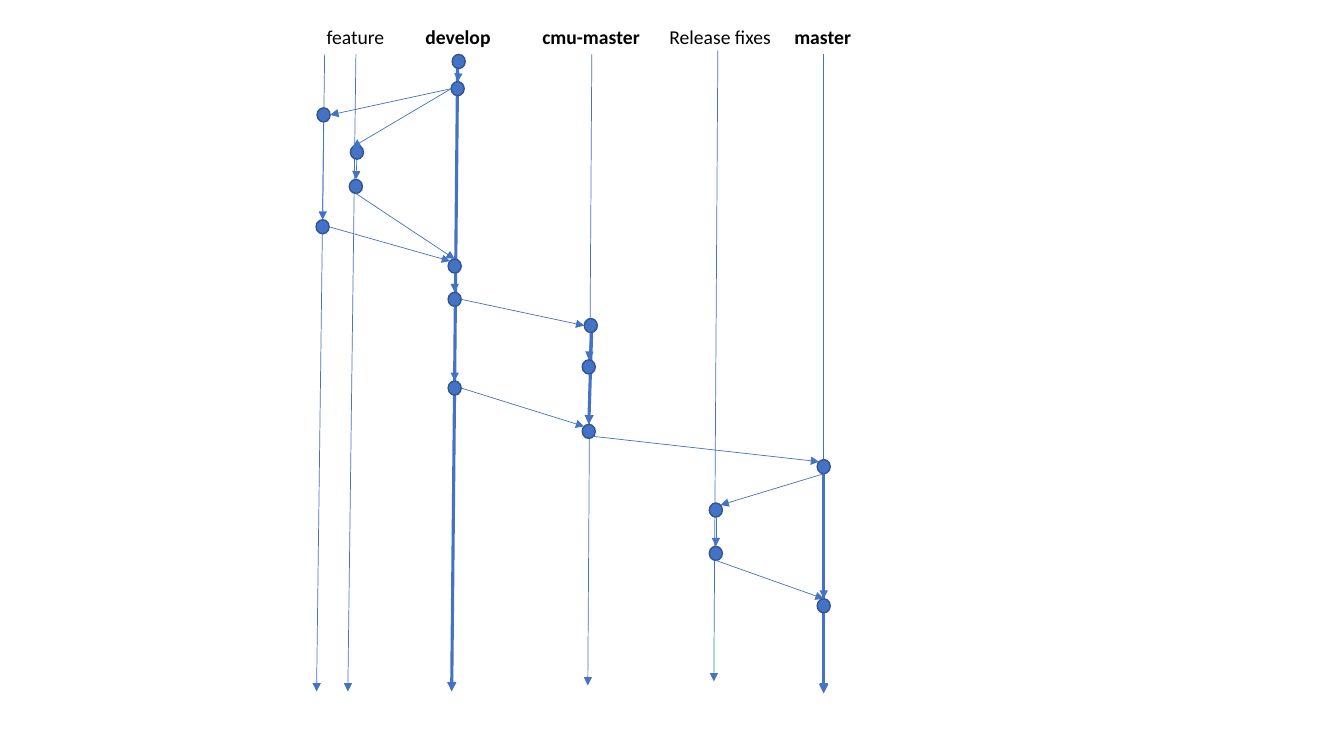
"""Builds a slide that shows a git branching flow from feature to master."""
from math import cos, radians, sin

from lxml.etree import SubElement
from pptx import Presentation
from pptx.dml.color import RGBColor
from pptx.enum.shapes import MSO_CONNECTOR, MSO_SHAPE
from pptx.enum.text import MSO_AUTO_SIZE
from pptx.oxml.ns import qn
from pptx.util import Inches, Pt

COLORS = {"blue": "4472C4", "edge": "325491", "text": "000000"}
DOT_W, DOT_H = 0.13, 0.14
THIN, THICK = 0.5, 2.25
ANGLES = {"right": 0, "bottom right": 45, "bottom": 90, "left": 180,
          "top left": 225, "top": 270, "top right": 315}

LABELS = [
    ("feature", 3.14, 0.78, False),
    ("develop", 4.12, 0.85, True),
    ("cmu-master", 5.28, 1.18, True),
    ("Release fixes", 6.54, 1.22, False),
    ("master", 7.78, 0.77, True),
]
LANES = [
    ((3.22, 0.54), (3.14, 6.86), THIN),
    ((3.53, 0.54), (3.45, 6.86), THIN),
    ((4.54, 0.54), (4.48, 6.86), THICK),
    ((5.87, 0.54), (5.83, 6.8), THIN),
    ((5.87, 3.24), (5.84, 4.21), THICK),
    ((7.12, 0.5), (7.08, 6.76), THIN),
    ((8.17, 0.54), (8.17, 6.86), THIN),
    ((8.17, 4.69), (8.17, 6.88), THICK),
]
COMMITS = {
    "feature a1": (3.21, 1.14), "feature a2": (3.2, 2.25),
    "feature b1": (3.54, 1.51), "feature b2": (3.53, 1.85),
    "develop 1": (4.55, 0.61), "develop 2": (4.54, 0.88),
    "develop 3": (4.51, 2.64), "develop 4": (4.51, 2.97),
    "develop 5": (4.51, 3.85),
    "cmu 1": (5.86, 3.23), "cmu 2": (5.84, 3.64), "cmu 3": (5.84, 4.28),
    "fix 1": (7.1, 5.06), "fix 2": (7.1, 5.49),
    "master 1": (8.17, 4.63), "master 2": (8.17, 6.01),
}
STEPS = [
    ("develop 1", "develop 2"), ("feature a1", "feature a2"),
    ("feature b1", "feature b2"), ("develop 3", "develop 4"),
    ("develop 4", "develop 5"), ("cmu 1", "cmu 2"),
    ("fix 1", "fix 2"), ("master 1", "master 2"),
]
MERGES = [
    ("develop 2", "left", "feature a1", "right"),
    ("develop 2", "left", "feature b1", "top left"),
    ("feature b2", "bottom", "develop 3", "top"),
    ("feature a2", "right", "develop 3", "top left"),
    ("develop 4", "right", "cmu 1", "left"),
    ("develop 5", "right", "cmu 3", "top left"),
    ("cmu 3", "bottom right", "master 1", "top left"),
    ("master 1", "bottom", "fix 1", "top right"),
    ("fix 2", "bottom", "master 2", "top"),
]


def rgb(name):
    """Return a named colour."""
    return RGBColor.from_string(COLORS[name])


def add_label(s, text, left, width, bold):
    """Add a branch name."""
    box = s.shapes.add_textbox(Inches(left), Inches(0.2), Inches(width), Inches(0.34))
    tf = box.text_frame
    tf.word_wrap = False
    tf.auto_size = MSO_AUTO_SIZE.SHAPE_TO_FIT_TEXT
    p = tf.paragraphs[0]
    p.text = text
    p.font.name, p.font.size, p.font.bold = "Calibri", Pt(14), bold
    p.font.color.rgb = rgb("text")


def add_arrow(s, start, end, weight=THIN):
    """Add a straight arrow between two points."""
    points = [Inches(v) for v in (*start, *end)]
    line = s.shapes.add_connector(MSO_CONNECTOR.STRAIGHT, *points)
    line.line.color.rgb = rgb("blue")
    line.line.width = Pt(weight)
    SubElement(line.line._get_or_add_ln(), qn("a:tailEnd"), type="triangle")
    SubElement(line._element.spPr, qn("a:effectLst"))


def add_commit(s, x, y):
    """Add a commit dot centred on a point."""
    dot = s.shapes.add_shape(MSO_SHAPE.OVAL, Inches(x - DOT_W / 2), Inches(y - DOT_H / 2),
                             Inches(DOT_W), Inches(DOT_H))
    dot.shadow.inherit = False
    dot.fill.solid()
    dot.fill.fore_color.rgb = rgb("blue")
    dot.line.color.rgb = rgb("edge")
    dot.line.width = Pt(1)


def site(commit, side):
    """Return the point on the rim of a commit dot."""
    x, y = COMMITS[commit]
    angle = radians(ANGLES[side])
    return x + DOT_W / 2 * cos(angle), y + DOT_H / 2 * sin(angle)


def main():
    """Build and save the slide."""
    prs = Presentation()
    prs.slide_width, prs.slide_height = Inches(13.33), Inches(7.5)
    s = prs.slides.add_slide(prs.slide_layouts[6])
    for label in LABELS:
        add_label(s, *label)
    for lane in LANES:
        add_arrow(s, *lane)
    for center in COMMITS.values():
        add_commit(s, *center)
    for source, target in STEPS:
        add_arrow(s, site(source, "bottom"), site(target, "top"))
    for source, out_side, target, in_side in MERGES:
        add_arrow(s, site(source, out_side), site(target, in_side))
    prs.save("out.pptx")


if __name__ == "__main__":
    main()
